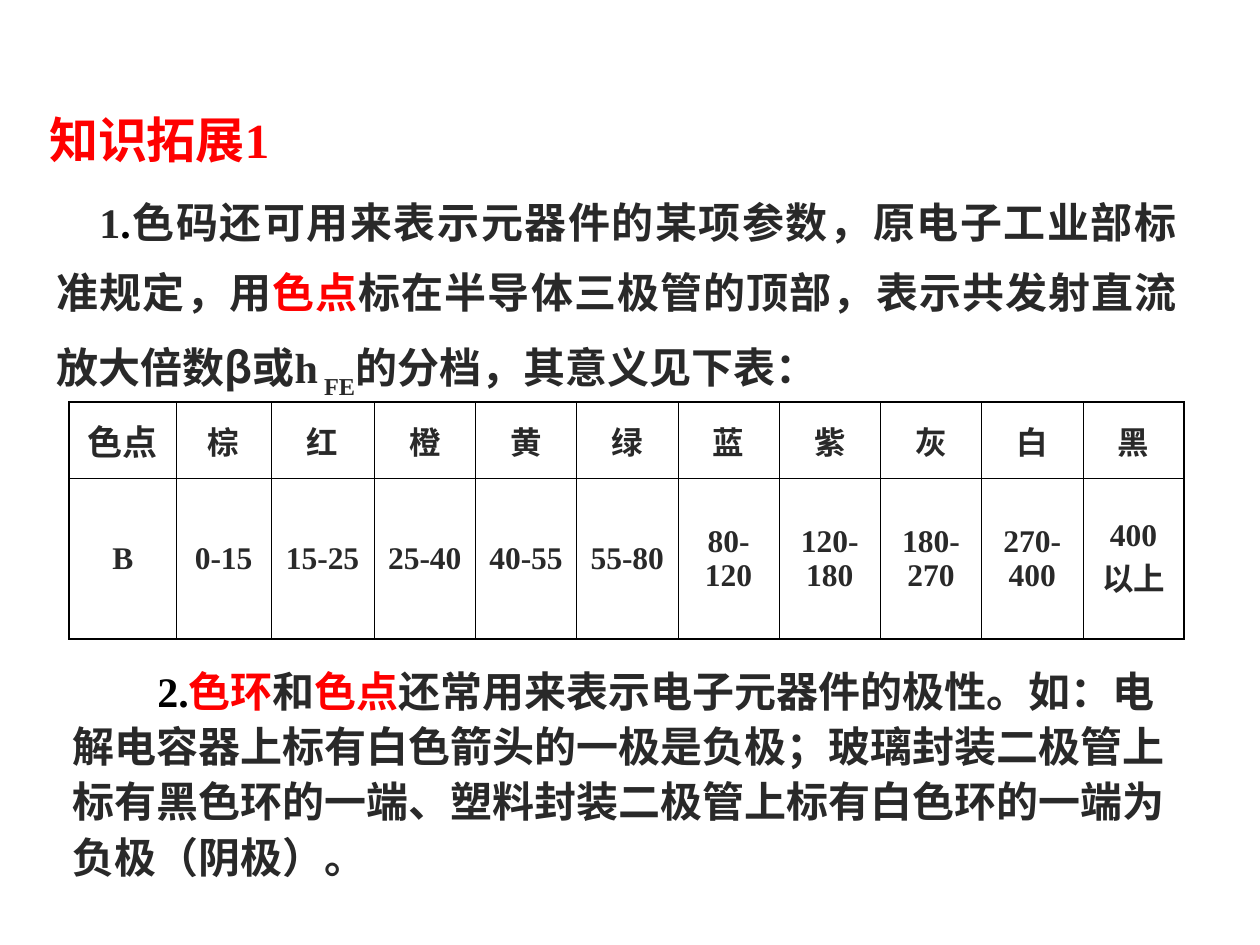
from lxml import etree
from pptx import Presentation
from pptx.dml.color import RGBColor
from pptx.enum.text import MSO_ANCHOR, MSO_AUTO_SIZE, PP_ALIGN
from pptx.oxml.ns import qn
from pptx.util import Inches, Pt

LEFT, CENTER, JUSTIFY = PP_ALIGN.LEFT, PP_ALIGN.CENTER, PP_ALIGN.JUSTIFY
TOP, MIDDLE = MSO_ANCHOR.TOP, MSO_ANCHOR.MIDDLE
FIT_SHAPE = MSO_AUTO_SIZE.SHAPE_TO_FIT_TEXT

RED = RGBColor(0xFF, 0x00, 0x00)
INK = RGBColor(0x29, 0x29, 0x29)
BLACK = RGBColor(0x00, 0x00, 0x00)
WHITE = RGBColor(0xFF, 0xFF, 0xFF)
CJK, LATIN = "Noto Sans CJK SC", "Times New Roman"
SUBSCRIPT = "-30000"

# Content: runs are (text, colour, latin font, baseline)
HEADING = "知识拓展1"
GRADING = [
    ("1", INK, LATIN, None),
    (".", BLACK, LATIN, None),
    ("色码还可用来表示元器件的某项参数，原电子工业部标准规定，用", INK, CJK, None),
    ("色点", RED, CJK, None),
    ("标在半导体三极管的顶部，表示共发射直流放大倍数β或", INK, CJK, None),
    ("h", INK, LATIN, None),
    (" FE", INK, LATIN, SUBSCRIPT),
    ("的分档，其意义见下表：", INK, CJK, None),
]
POLARITY = [
    ("2.", BLACK, LATIN, None),
    ("色环", RED, LATIN, None),
    ("和", INK, LATIN, None),
    ("色点", RED, LATIN, None),
    ("还常用来表示电子元器件的极性。如：电解电容器上标有白色箭头的一极是负极；"
     "玻璃封装二极管上标有黑色环的一端、塑料封装二极管上标有白色环的一端为负极（阴极）。",
     INK, LATIN, None),
]
GRADES = [
    ["色点", "棕", "红", "橙", "黄", "绿", "蓝", "紫", "灰", "白", "黑"],
    ["Β", "0-15", "15-25", "25-40", "40-55", "55-80",
     "80-120", "120-180", "180-270", "270-400", "400以上"],
]

# Table grid: three fitted columns, the rest share the remaining width
TABLE_LEFT, TABLE_TOP, TABLE_WIDTH = 0.55, 3.19, 8.85
ROW_HEIGHTS = [0.61, 1.27]
FITTED = [0.85, 0.75, 0.82]
SHARED_COUNT = len(GRADES[0]) - len(FITTED)
COLUMN_WIDTHS = FITTED + [(TABLE_WIDTH - sum(FITTED)) / SHARED_COUNT] * SHARED_COUNT
OUTER_LINE, INNER_LINE = 1.08, 0.45


def format_run(run, size, color, latin=LATIN, baseline=None):
    run.font.size, run.font.bold = Pt(size), True
    run.font.color.rgb = color
    run.font.name = latin
    properties = run._r.get_or_add_rPr()
    etree.SubElement(properties, qn("a:ea")).set("typeface", CJK)
    if baseline:
        properties.set("baseline", baseline)


def add_passage(slide, box, runs, line_spacing, first_indent, align):
    frame = slide.shapes.add_textbox(*map(Inches, box)).text_frame
    frame.word_wrap, frame.auto_size = True, FIT_SHAPE
    paragraph = frame.paragraphs[0]
    paragraph.line_spacing, paragraph.alignment = line_spacing, align
    paragraph._p.get_or_add_pPr().set("indent", str(Inches(first_indent)))
    for text, color, latin, baseline in runs:
        run = paragraph.add_run()
        run.text = text
        format_run(run, 24, color, latin, baseline)


def add_border(cell, side, width):
    line = etree.Element(qn(f"a:ln{side}"), w=str(Pt(width)))
    fill = etree.SubElement(line, qn("a:solidFill"))
    etree.SubElement(fill, qn("a:srgbClr")).set("val", str(BLACK))
    cell._tc.get_or_add_tcPr().append(line)


def add_grades(slide):
    rows, columns = len(GRADES), len(GRADES[0])
    table = slide.shapes.add_table(
        rows, columns, Inches(TABLE_LEFT), Inches(TABLE_TOP),
        Inches(TABLE_WIDTH), Inches(sum(ROW_HEIGHTS))).table
    table.first_row = table.horz_banding = False
    for column, width in zip(table.columns, COLUMN_WIDTHS):
        column.width = Inches(width)
    for row, height in zip(table.rows, ROW_HEIGHTS):
        row.height = Inches(height)
    for r, labels in enumerate(GRADES):
        for c, label in enumerate(labels):
            cell = table.cell(r, c)
            cell.text_frame.text = label
            cell.vertical_anchor = MIDDLE
            paragraph = cell.text_frame.paragraphs[0]
            paragraph.alignment = CENTER
            format_run(paragraph.runs[0], 20 if r == c == 0 else 18, INK)
            on_edge = {"L": c == 0, "R": c == columns - 1,
                       "T": r == 0, "B": r == rows - 1}
            for side, outer in on_edge.items():
                add_border(cell, side, OUTER_LINE if outer else INNER_LINE)
            cell.fill.background()


def add_heading(slide):
    heading = slide.shapes.title
    heading.left, heading.top = Inches(0.29), Inches(0.82)
    heading.width, heading.height = Inches(2.14), Inches(0.57)
    heading.fill.solid()
    heading.fill.fore_color.rgb = WHITE
    frame = heading.text_frame
    frame.text = HEADING
    frame.word_wrap, frame.auto_size = True, FIT_SHAPE
    frame.vertical_anchor = TOP
    frame.paragraphs[0].alignment = LEFT
    format_run(frame.paragraphs[0].runs[0], 28, RED)


def main():
    deck = Presentation()
    deck.slide_width, deck.slide_height = Inches(10), Inches(7.5)
    slide = deck.slides.add_slide(deck.slide_layouts[5])
    add_heading(slide)
    add_passage(slide, (0.35, 1.35, 9.09, 1.88), GRADING, 1.4, 0.34, JUSTIFY)
    add_grades(slide)
    add_passage(slide, (0.48, 5.19, 8.9, 1.86), POLARITY, 1.1, 0.67, LEFT)
    deck.save("out.pptx")


if __name__ == "__main__":
    main()
